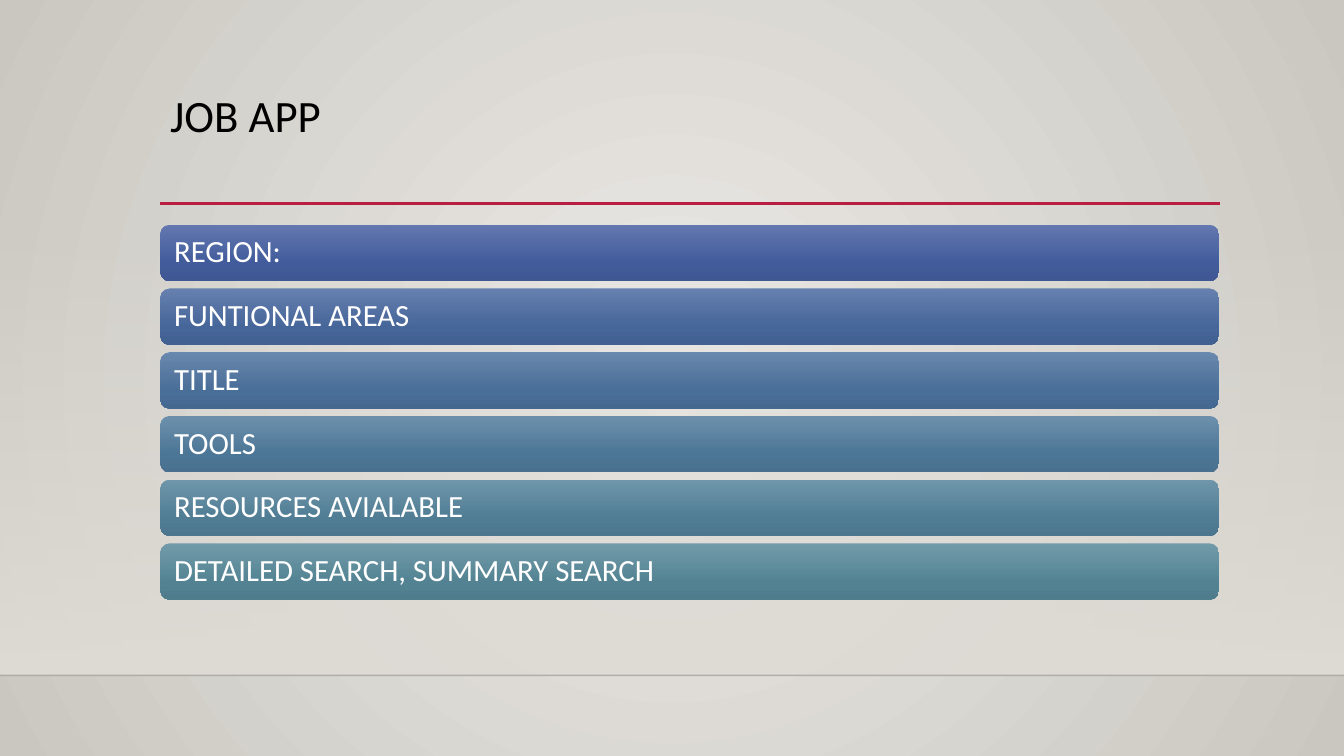
import pptx
import pptx.dml.color
import pptx.enum.shapes
import pptx.enum.text
import pptx.oxml
import pptx.oxml.ns
import pptx.util
from pptx.util import Inches

COLORS = {
    "center": "ECEAE7",
    "edge": "CAC7C1",
    "floor": "DFDBD5",
    "shade": "000001",
    "accent": "B71E42",
    "title": "000000",
    "label": "FFFFFF",
}

BARS = [
    ("REGION:", ("6378B0", "425B9B", "3F5793")),
    ("FUNTIONAL AREAS", ("6680AF", "466599", "426091")),
    ("TITLE", ("6988AD", "496E98", "456890")),
    ("TOOLS", ("6C90AC", "4C7696", "49708E")),
    ("RESOURCES AVIALABLE", ("6F96AB", "507D94", "4C768D")),
    ("DETAILED SEARCH, SUMMARY SEARCH", ("729BA9", "538393", "4F7C8B")),
]

DOWNWARD = '<a:lin ang="5400000" scaled="0"/>'
RADIAL = '<a:path path="circle"><a:fillToRect l="50000" t="50000" r="50000" b="50000"/></a:path>'
NAMESPACE = pptx.oxml.ns.nsdecls("a")


class SlideBuilder:
    font_name = "Calibri"

    def __init__(self, slide):
        self.slide = slide

    def color(self, name):
        return pptx.dml.color.RGBColor.from_string(COLORS[name])

    def apply_gradient(self, fill, element, stops, direction):
        fill.solid()
        fill.fore_color.rgb = self.color("floor")
        stop_xml = "".join(
            f'<a:gs pos="{position * 1000}"><a:srgbClr val="{value}">'
            f'<a:alpha val="{opacity * 1000}"/></a:srgbClr></a:gs>'
            for position, value, opacity in stops
        )
        gradient = pptx.oxml.parse_xml(
            f'<a:gradFill {NAMESPACE} rotWithShape="1"><a:gsLst>{stop_xml}</a:gsLst>{direction}</a:gradFill>'
        )
        solid = element.find(".//" + pptx.oxml.ns.qn("a:solidFill"))
        solid.getparent().replace(solid, gradient)

    def background(self, stops):
        self.apply_gradient(self.slide.background.fill, self.slide.element, stops, RADIAL)

    def gradient_shape(self, kind, left, top, width, height, stops):
        shape = self.slide.shapes.add_shape(
            kind, Inches(left), Inches(top), Inches(width), Inches(height)
        )
        shape.shadow.inherit = False
        shape.line.fill.background()
        self.apply_gradient(shape.fill, shape.element.spPr, stops, DOWNWARD)
        return shape

    def horizontal_line(self, left, right, top, color, width, opacity=100):
        line = self.slide.shapes.add_connector(
            pptx.enum.shapes.MSO_CONNECTOR.STRAIGHT,
            Inches(left), Inches(top), Inches(right), Inches(top),
        )
        line.line.color.rgb = self.color(color)
        line.line.width = pptx.util.Pt(width)
        properties = line.element.spPr
        value = properties.find(".//" + pptx.oxml.ns.qn("a:srgbClr"))
        value.append(pptx.oxml.parse_xml(f'<a:alpha {NAMESPACE} val="{opacity * 1000}"/>'))
        properties.append(pptx.oxml.parse_xml(f"<a:effectLst {NAMESPACE}/>"))

    def set_text(self, shape, text, size, color, anchor, margin):
        frame = shape.text_frame
        frame.word_wrap = True
        frame.vertical_anchor = anchor
        frame.margin_left = frame.margin_right = Inches(margin)
        frame.margin_top = frame.margin_bottom = Inches(0.05)
        paragraph = frame.paragraphs[0]
        paragraph.text = text
        paragraph.alignment = pptx.enum.text.PP_ALIGN.LEFT
        paragraph.line_spacing = 0.9
        paragraph.font.name = self.font_name
        paragraph.font.size = pptx.util.Pt(size)
        paragraph.font.color.rgb = self.color(color)

    def title(self, text, left, top, width, height):
        box = self.slide.shapes.add_textbox(
            Inches(left), Inches(top), Inches(width), Inches(height)
        )
        self.set_text(box, text, 32, "title", pptx.enum.text.MSO_ANCHOR.TOP, 0.1)

    def bar(self, text, left, top, width, height, shades):
        stops = [(position, shade, 100) for position, shade in zip((0, 69, 100), shades)]
        kind = pptx.enum.shapes.MSO_SHAPE.ROUNDED_RECTANGLE
        shape = self.gradient_shape(kind, left, top, width, height, stops)
        self.set_text(shape, text, 22, "label", pptx.enum.text.MSO_ANCHOR.MIDDLE, 0.11)


presentation = pptx.Presentation()
presentation.slide_width = Inches(13.33)
presentation.slide_height = Inches(7.5)
builder = SlideBuilder(presentation.slides.add_slide(presentation.slide_layouts[6]))

LEFT, WIDTH = 1.59, 10.5
BAR_TOP, BAR_BOTTOM, BAR_HEIGHT = 2.23, 5.95, 0.56
BAR_PITCH = (BAR_BOTTOM - BAR_HEIGHT - BAR_TOP) / (len(BARS) - 1)

builder.background([(0, COLORS["center"], 100), (100, COLORS["edge"], 100)])
builder.gradient_shape(
    pptx.enum.shapes.MSO_SHAPE.RECTANGLE, 0, 2.21, 13.33, 4.49,
    [(0, COLORS["floor"], 0), (100, COLORS["floor"], 100)],
)
builder.horizontal_line(0, 13.33, 6.7, "shade", 1, opacity=20)
builder.horizontal_line(LEFT, 12.1, 2.02, "accent", 2.5)
builder.title("JOB APP", LEFT, 0.88, WIDTH, 1.15)
for index, (label, shades) in enumerate(BARS):
    builder.bar(label, LEFT, BAR_TOP + index * BAR_PITCH, WIDTH, BAR_HEIGHT, shades)

presentation.save("out.pptx")
